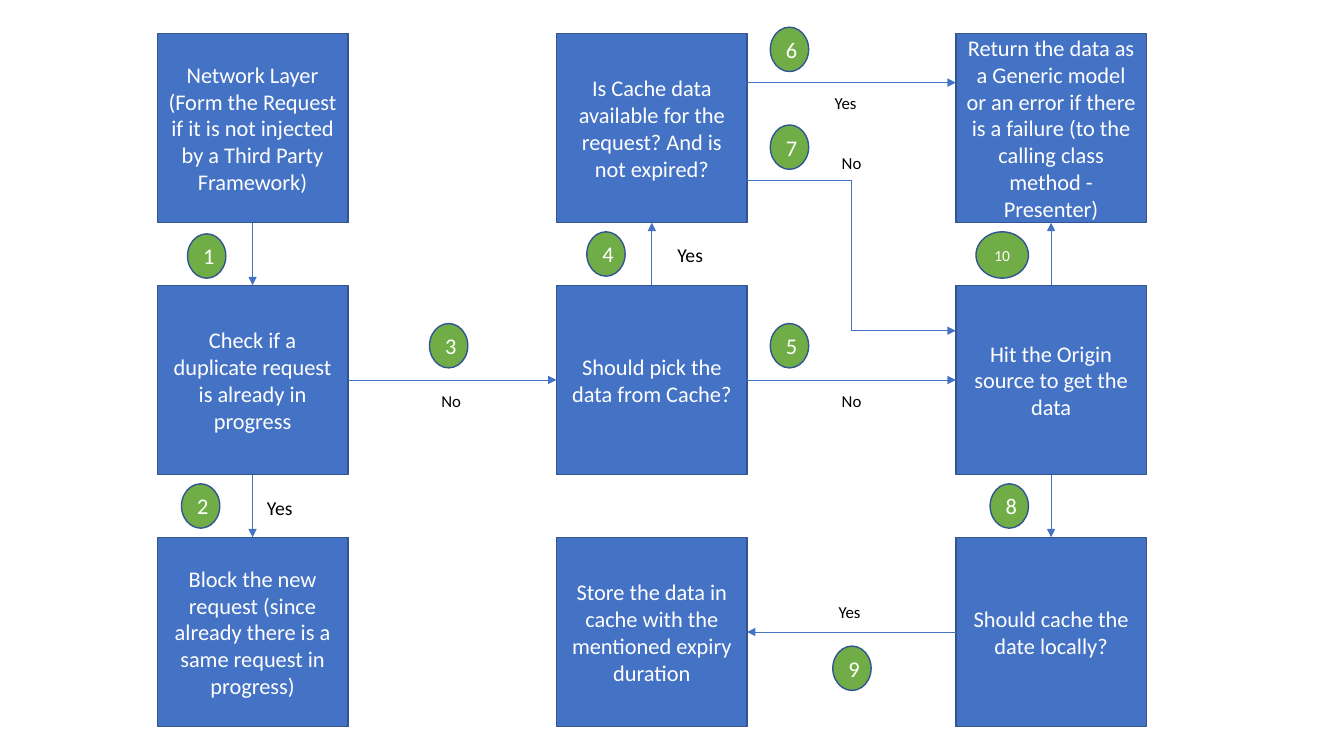
from lxml import etree
from pptx import Presentation
from pptx.dml.color import RGBColor
from pptx.enum.shapes import MSO_CONNECTOR, MSO_SHAPE
from pptx.enum.text import MSO_ANCHOR, MSO_AUTO_SIZE, PP_ALIGN
from pptx.oxml.ns import qn
from pptx.util import Inches, Pt

BLUE, GREEN, OUTLINE = "4472C4", "70AD47", "325491"
WHITE, BLACK = "FFFFFF", "000000"
LEFT, TOP = 1.56, 0.33
BOX_WIDTH, BOX_HEIGHT = 1.89, 1.88
COLUMN_STEP, ROW_STEP = 3.96, 2.5
BOTTOM_SIDE, LEFT_SIDE, RIGHT_SIDE, TOP_SIDE = 2, 1, 3, 0

presentation = Presentation()
presentation.slide_width = Inches(13.33)
presentation.slide_height = Inches(7.5)
slide = presentation.slides.add_slide(presentation.slide_layouts[6])


def add_text(text, position, preset=None, fill=BLUE, size=16, color=WHITE):
    """Add a filled preset shape, or a plain label when no preset is given."""
    bounds = [Inches(length) for length in position]
    if preset is None:
        shape = slide.shapes.add_textbox(*bounds)
        shape.text_frame.word_wrap = False
        shape.text_frame.auto_size = MSO_AUTO_SIZE.SHAPE_TO_FIT_TEXT
    else:
        shape = slide.shapes.add_shape(preset, *bounds)
        shape.shadow.inherit = False
        shape.fill.solid()
        shape.fill.fore_color.rgb = RGBColor.from_string(fill)
        shape.line.color.rgb = RGBColor.from_string(OUTLINE)
        shape.line.width = Pt(1)
        shape.text_frame.vertical_anchor = MSO_ANCHOR.MIDDLE
    paragraph = shape.text_frame.paragraphs[0]
    paragraph.alignment = PP_ALIGN.CENTER if preset else PP_ALIGN.LEFT
    run = paragraph.add_run()
    run.text = text
    run.font.name = "Calibri"
    run.font.size = Pt(size)
    run.font.color.rgb = RGBColor.from_string(color)
    return shape


def add_arrow(start=(0, 0), end=(0, 0), kind=MSO_CONNECTOR.STRAIGHT):
    points = [Inches(length) for length in (*start, *end)]
    connector = slide.shapes.add_connector(kind, *points)
    connector.line.color.rgb = RGBColor.from_string(BLUE)
    connector.line.width = Pt(0.5)
    line = connector.line._get_or_add_ln()
    etree.SubElement(line, qn("a:tailEnd"), type="triangle")
    etree.SubElement(connector._element.spPr, qn("a:effectLst"))
    return connector


# Steps, by row and column
steps = [
    ["Network Layer (Form the Request if it is not injected by a Third Party Framework)",
     "Is Cache data available for the request? And is not expired?",
     "Return the data as a Generic model or an error if there is a failure "
     "(to the calling class method - Presenter)"],
    ["Check if a duplicate request is already in progress",
     "Should pick the data from Cache?",
     "Hit the Origin source to get the data"],
    ["Block the new request (since already there is a same request in progress)",
     "Store the data in cache with the mentioned expiry duration",
     "Should cache the date locally?"],
]
boxes = {}
for row, texts in enumerate(steps):
    for column, text in enumerate(texts):
        position = (LEFT + column * COLUMN_STEP, TOP + row * ROW_STEP, BOX_WIDTH, BOX_HEIGHT)
        boxes[row, column] = add_text(text, position, MSO_SHAPE.RECTANGLE)

# Arrows between the middles of box sides
links = [
    ((0, 0), BOTTOM_SIDE, (1, 0), TOP_SIDE),
    ((1, 0), BOTTOM_SIDE, (2, 0), TOP_SIDE),
    ((1, 0), RIGHT_SIDE, (1, 1), LEFT_SIDE),
    ((1, 1), TOP_SIDE, (0, 1), BOTTOM_SIDE),
    ((1, 1), RIGHT_SIDE, (1, 2), LEFT_SIDE),
    ((1, 2), TOP_SIDE, (0, 2), BOTTOM_SIDE),
    ((1, 2), BOTTOM_SIDE, (2, 2), TOP_SIDE),
    ((2, 2), LEFT_SIDE, (2, 1), RIGHT_SIDE),
]
for source, source_side, target, target_side in links:
    arrow = add_arrow()
    arrow.begin_connect(boxes[source], source_side)
    arrow.end_connect(boxes[target], target_side)

# Two exits of the cache check, away from the side's middle
exit_x = LEFT + COLUMN_STEP + BOX_WIDTH
entry_x = LEFT + 2 * COLUMN_STEP
add_arrow((exit_x, 0.82), (entry_x, 0.82))
add_arrow((exit_x, 1.79), (entry_x, 3.28), MSO_CONNECTOR.ELBOW)

# Answers on the arrows, with label sizes by wording and font size
answer_sizes = {("Yes", 14): (0.46, 0.34), ("Yes", 12): (0.43, 0.3), ("No", 12): (0.4, 0.3)}
answers = [
    ("Yes", 2.55, 4.87, 14), ("Yes", 6.62, 2.36, 14),
    ("Yes", 8.18, 0.87, 12), ("Yes", 8.22, 5.92, 12),
    ("No", 4.28, 3.83, 12), ("No", 8.25, 3.83, 12), ("No", 8.25, 1.47, 12),
]
for text, left, top, size in answers:
    add_text(text, (left, top, *answer_sizes[text, size]), size=size, color=BLACK)

# Numbered badges, in order
badges = [
    (1.86, 2.32), (1.8, 4.8), (4.26, 3.21), (5.82, 2.3), (7.64, 3.21),
    (7.64, 0.27), (7.64, 1.24), (9.82, 4.8), (8.26, 6.41), (9.68, 2.3),
]
for number, (left, top) in enumerate(badges, start=1):
    width, height, size = (0.38, 0.44, 16) if number < 10 else (0.52, 0.46, 11)
    add_text(str(number), (left, top, width, height), MSO_SHAPE.OVAL, fill=GREEN, size=size)

presentation.save("out.pptx")
